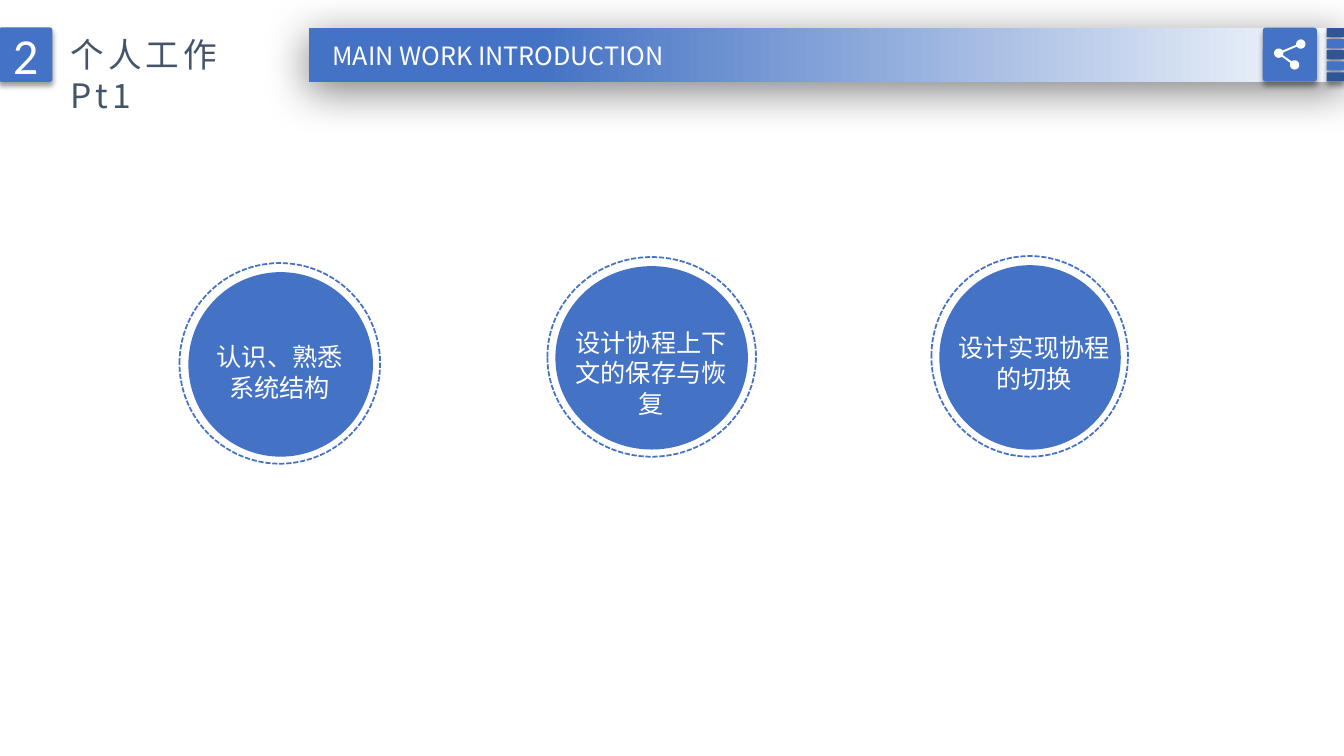
import math
from dataclasses import dataclass

import lxml.etree
import pptx
import pptx.dml.color
import pptx.enum.dml
import pptx.enum.shapes
import pptx.enum.text
import pptx.oxml.ns
import pptx.util

Pt = pptx.util.Pt
Kind = pptx.enum.shapes.MSO_SHAPE
Align = pptx.enum.text.PP_ALIGN


@dataclass(frozen=True)
class Theme:
    blue: str = "4472C4"
    navy: str = "2F5597"
    slate: str = "44546A"
    white: str = "FFFFFF"
    mist: str = "F7FAFD"
    black: str = "000000"
    number_size: int = 36
    title_size: int = 24
    body_size: int = 18
    number_font: str = "Calibri"
    font: str = "Noto Sans CJK SC"


def rgb(code):
    return pptx.dml.color.RGBColor.from_string(code)


def add_node(parent, tag, **attributes):
    node = lxml.etree.SubElement(parent, pptx.oxml.ns.qn(tag))
    for name, value in attributes.items():
        node.set(name, str(value))
    return node


def write(frame, text, size, color, font, align=Align.LEFT, tracking=0):
    para = frame.paragraphs[0]
    para.alignment = align
    span = para.add_run()
    span.text = text
    span.font.size = Pt(size)
    span.font.name = font
    span.font.color.rgb = rgb(color)
    properties = span._r.get_or_add_rPr()
    add_node(properties, "a:ea", typeface=font)
    if tracking:
        properties.set("spc", str(tracking * 100))


class Painter:
    def __init__(self, page, theme):
        self.page = page
        self.theme = theme

    def shape(self, kind, left, top, width, height, fill=None):
        box = self.page.shapes.add_shape(kind, Pt(left), Pt(top), Pt(width), Pt(height))
        box.shadow.inherit = False
        box.line.fill.background()
        if fill:
            box.fill.solid()
            box.fill.fore_color.rgb = rgb(fill)
        else:
            box.fill.background()
        return box

    def cast_shadow(self, box, opacity, blur, distance, angle):
        effects = box._element.spPr.find(pptx.oxml.ns.qn("a:effectLst"))
        shadow = add_node(effects, "a:outerShdw", blurRad=Pt(blur), dist=Pt(distance),
                          dir=angle * 60000, algn="t", rotWithShape=0)
        color = add_node(shadow, "a:srgbClr", val=self.theme.black)
        add_node(color, "a:alpha", val=opacity * 1000)

    def tile(self, left, top, width, height, fill):
        box = self.shape(Kind.ROUNDED_RECTANGLE, left, top, width, height, fill)
        box.adjustments[0] = 0.05
        self.cast_shadow(box, 40, 4, 3, 90)
        return box

    def banner(self, left, top, width, height):
        box = self.shape(Kind.RECTANGLE, left, top, width, height)
        box.fill.gradient()
        box.fill.gradient_angle = 180
        stops = ((0, self.theme.mist), (0.78, self.theme.blue))
        for stop, (position, color) in zip(box.fill.gradient_stops, stops):
            stop.position = position
            stop.color.rgb = rgb(color)
        self.cast_shadow(box, 50, 31, 6, 97)

    def text(self, text, left, top, width, height, right_inset=7.2, **style):
        box = self.page.shapes.add_textbox(Pt(left), Pt(top), Pt(width), Pt(height))
        frame = box.text_frame
        frame.word_wrap = True
        frame.auto_size = pptx.enum.text.MSO_AUTO_SIZE.SHAPE_TO_FIT_TEXT
        frame.margin_right = Pt(right_inset)
        write(frame, text, **style)

    def topic(self, text, disc, ring, label):
        self.shape(Kind.OVAL, *disc, fill=self.theme.blue)
        outline = self.shape(Kind.OVAL, *ring)
        outline.line.color.rgb = rgb(self.theme.blue)
        outline.line.width = Pt(1.25)
        outline.line.dash_style = pptx.enum.dml.MSO_LINE.SQUARE_DOT
        self.text(text, *label, size=self.theme.body_size, color=self.theme.white,
                  font=self.theme.font, align=Align.CENTER)

    def share_icon(self, right, left, bottom, radius):
        arcs = ((right, 170, 506), (left, -10, 25), (bottom, 229, 565), (left, 49, 326))
        outline = []
        for (x, y), start, end in arcs:
            steps = math.ceil((end - start) / 10)
            for step in range(steps + 1):
                angle = math.radians(start + (end - start) * step / steps)
                outline.append((round(100 * (x + radius * math.cos(angle))),
                                round(100 * (y + radius * math.sin(angle)))))
        builder = self.page.shapes.build_freeform(*outline[0], scale=Pt(1) / 100)
        builder.add_line_segments(outline[1:], close=True)
        icon = builder.convert_to_shape()
        icon.shadow.inherit = False
        icon.fill.solid()
        icon.fill.fore_color.rgb = rgb(self.theme.white)
        icon.line.fill.background()


def main():
    deck = pptx.Presentation()
    deck.slide_width, deck.slide_height = Pt(960), Pt(540)
    page = deck.slides.add_slide(deck.slide_layouts[6])
    theme = Theme()
    painter = Painter(page, theme)

    painter.banner(221, 19.8, 739, 38.5)
    number = painter.tile(-0.7, 19.6, 38.2, 38.9, theme.blue)
    number.text_frame.vertical_anchor = pptx.enum.text.MSO_ANCHOR.MIDDLE
    write(number.text_frame, "2", theme.number_size, theme.white, theme.number_font, Align.CENTER)
    painter.text("个人工作Pt1", 43.2, 20.9, 170.6, 36.7, right_inset=24, size=theme.title_size,
                 color=theme.slate, font=theme.font, tracking=3)
    painter.text("MAIN WORK INTRODUCTION", 230.4, 25.2, 292.3, 29, size=theme.body_size,
                 color=theme.white, font=theme.font)

    for row in range(5):
        color = theme.blue if row % 2 else theme.navy
        painter.tile(947.6, 20.1 + 7.9 * row, 12.4, 6.5, color)
    painter.tile(902, 19.8, 38.6, 38.3, theme.blue)
    painter.share_icon((929.2, 31.5), (913.4, 38), (924.8, 46.4), 3.3)

    topics = (
        ("认识、熟悉系统结构", (134.6, 194.4, 131.8, 131.8), (128.2, 187.9, 143.3, 143.3),
         (139.7, 240.5, 120.2, 51.1)),
        ("设计实现协程的切换", (671, 189.4, 129.6, 131.8), (665.3, 182.9, 140.4, 143.3),
         (673.9, 234, 129.6, 51.1)),
        ("设计协程上下文的保存与恢复", (396.7, 190.1, 137.5, 131), (391, 183.6, 149, 142.6),
         (402.5, 230.4, 125.3, 72.7)),
    )
    for topic in topics:
        painter.topic(*topic)
    deck.save("out.pptx")


if __name__ == "__main__":
    main()
